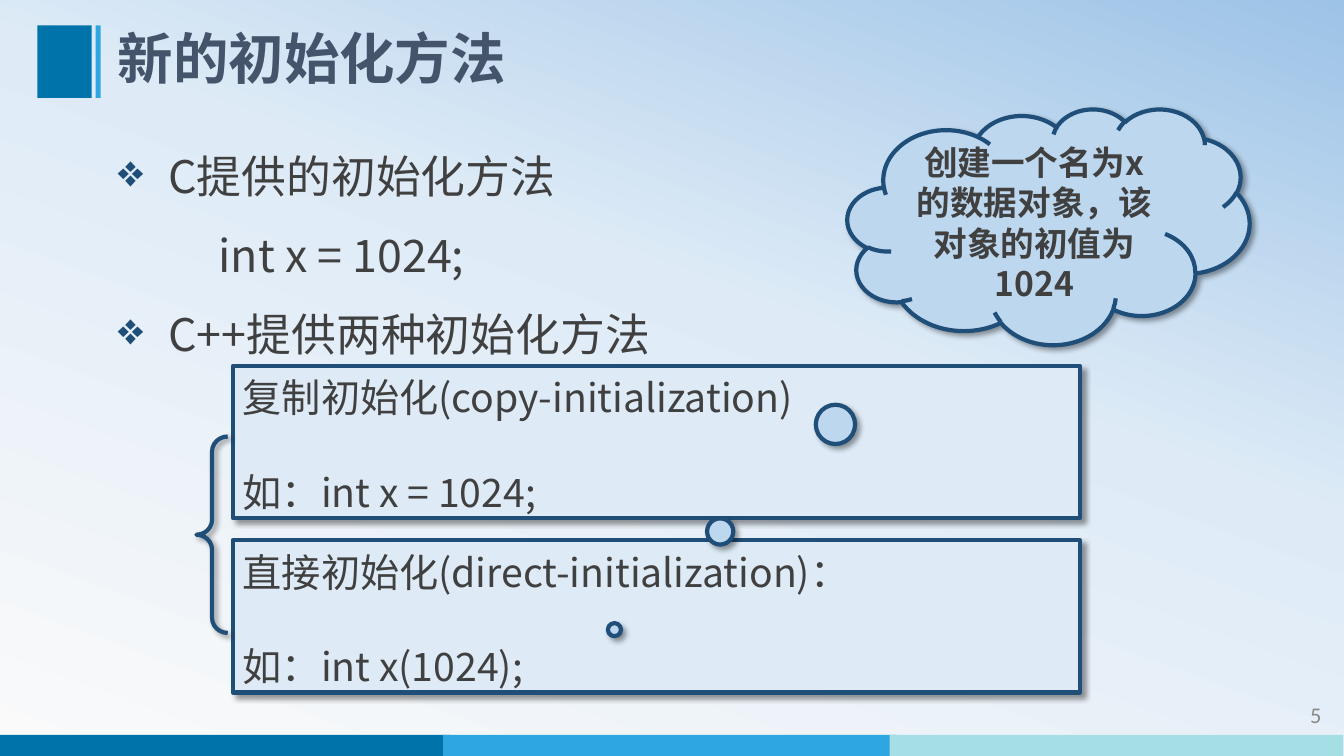
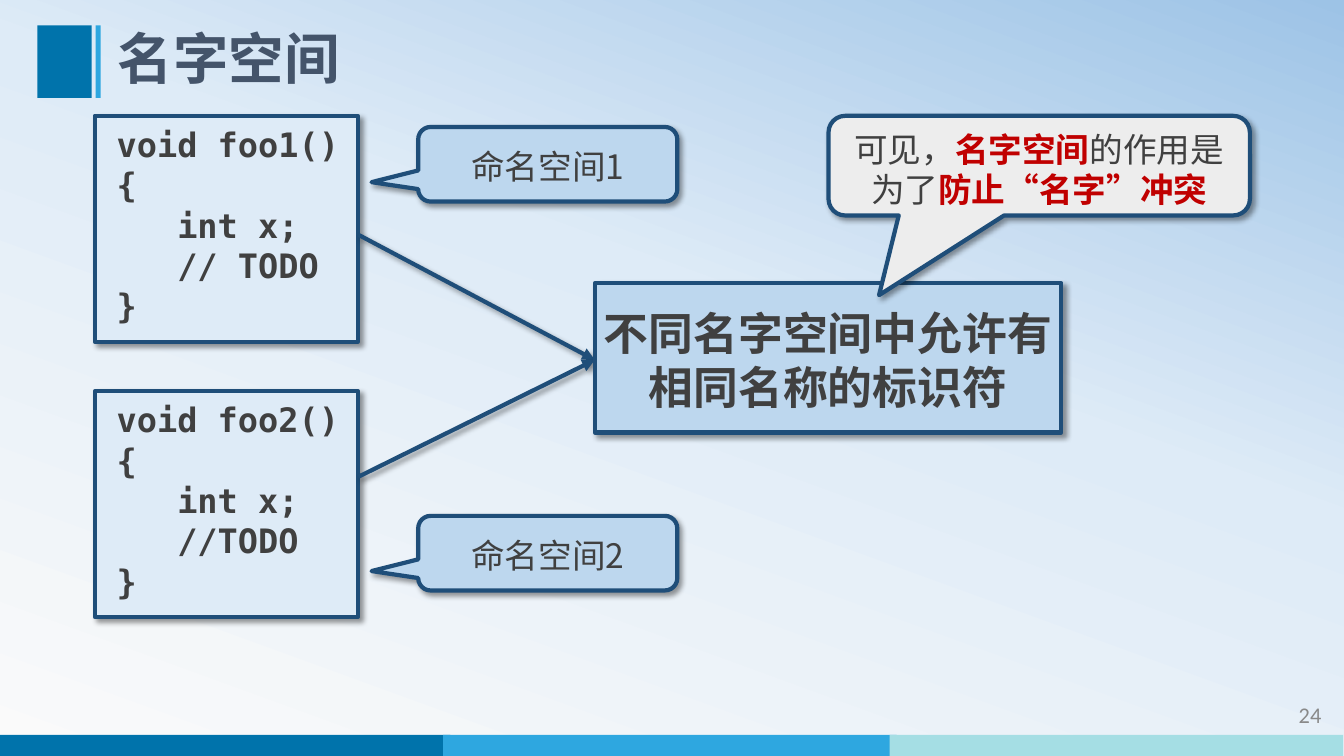
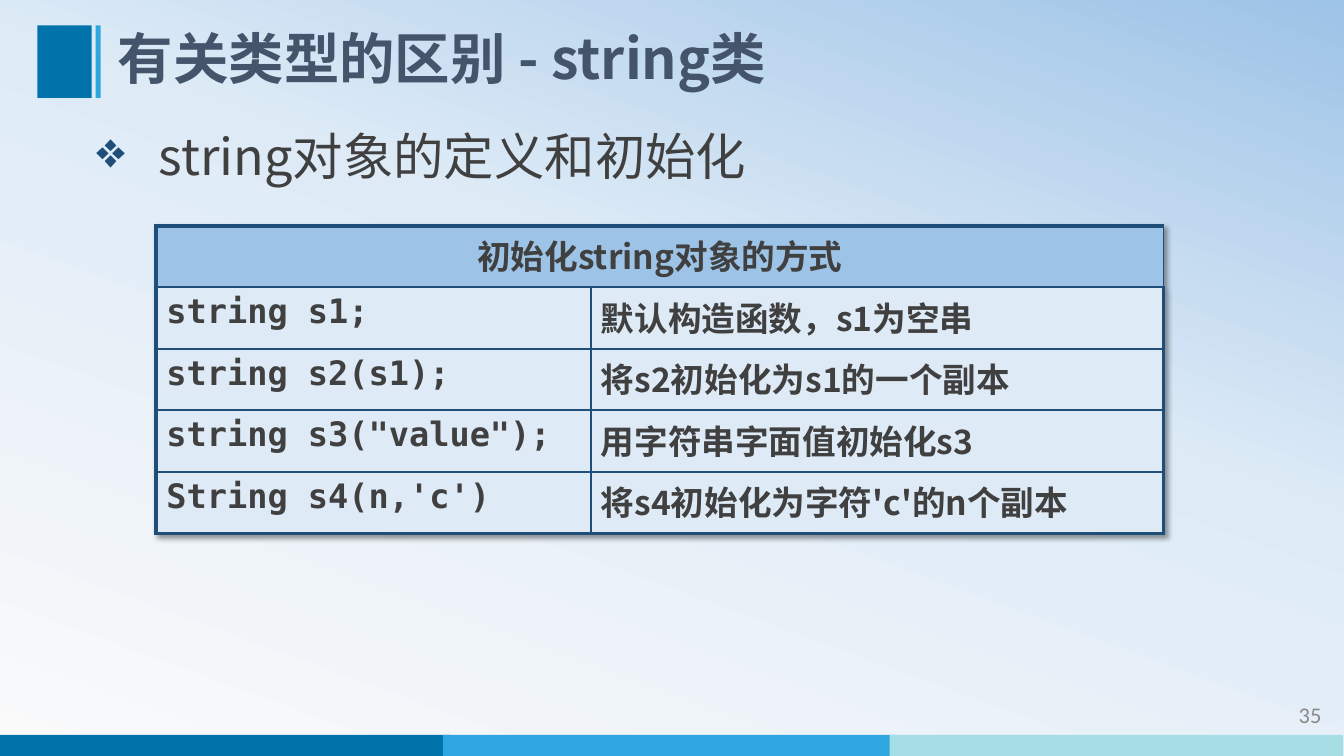
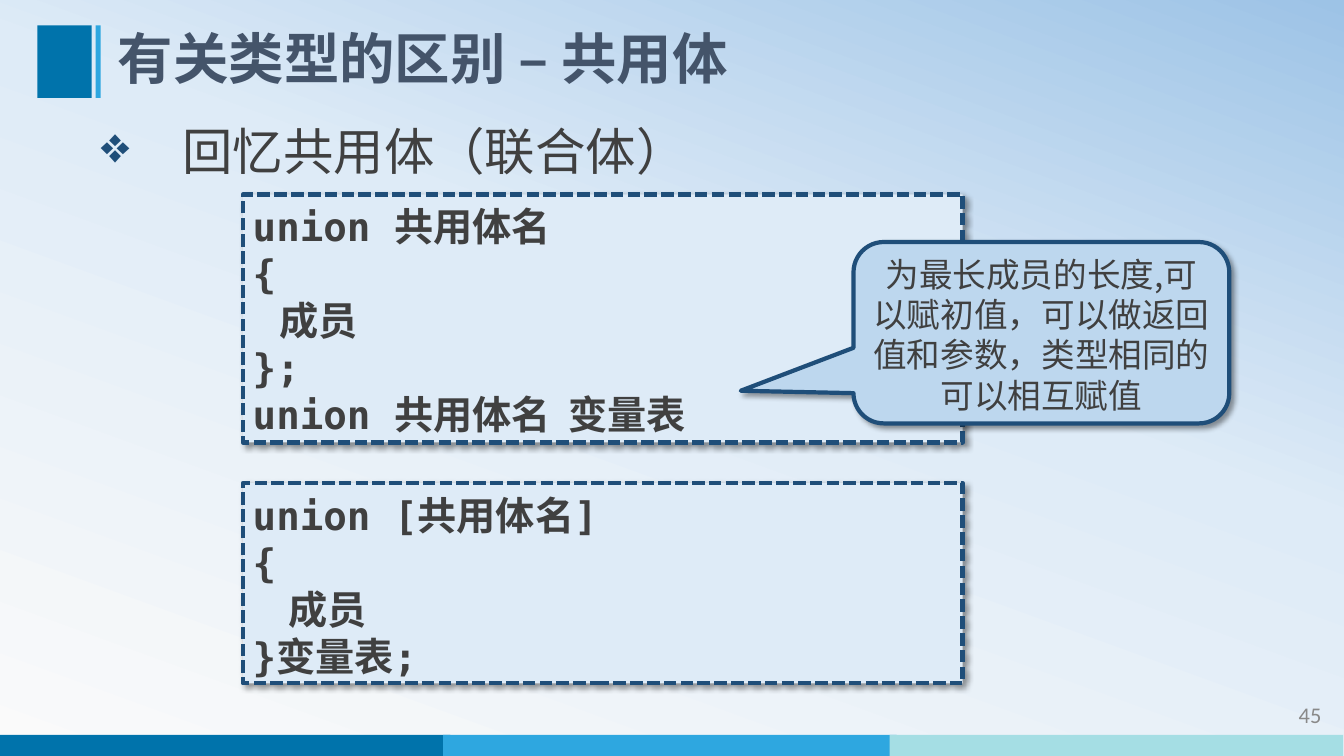
import copy
import dataclasses

import lxml.etree
import pptx
import pptx.dml.color
import pptx.enum.dml
import pptx.enum.shapes
import pptx.enum.text
import pptx.oxml.ns
import pptx.util

Cm = pptx.util.Cm
Pt = pptx.util.Pt
qn = pptx.oxml.ns.qn
SHAPE = pptx.enum.shapes.MSO_SHAPE
ALIGN = pptx.enum.text.PP_ALIGN
ANCHOR = pptx.enum.text.MSO_ANCHOR


@dataclasses.dataclass(frozen=True)
class Theme:
    sans: str = "Noto Sans CJK SC"
    mono: str = "DejaVu Sans Mono"
    digits: str = "Calibri"
    title: str = "44546A"
    ink: str = "404040"
    alert: str = "C00000"
    number: str = "898989"
    edge: str = "1F4E79"
    pale: str = "DEEBF7"
    light: str = "BDD7EE"
    header: str = "9DC3E6"
    grey: str = "EDEDED"
    bands: tuple = ("0073AB", "2EA7E0", "A5DEE4")
    backdrop: tuple = ((0, "FAFAFA"), (0.58, "DEEBF7"), (1, "9DC3E6"))
    title_size: float = 39.6
    heading_size: int = 36
    lead_size: int = 32
    text_size: int = 28
    note_size: int = 24
    number_size: int = 16
    edge_width: float = 3
    grid_width: float = 1.5
    leading: float = 1.2


def rgb(value):
    return pptx.dml.color.RGBColor.from_string(value)


def child(parent, tag, **attributes):
    return lxml.etree.SubElement(parent, qn(tag), attributes)


def add_shadow(effects):
    """Fill an a:effectLst with the soft shadow of the theme."""
    outer = child(effects, "a:outerShdw", blurRad="50800", dist="38100",
                  dir="2700000", algn="tl", rotWithShape="0")
    child(child(outer, "a:srgbClr", val="000000"), "a:alpha", val="40000")


class Lesson:
    def __init__(self, theme):
        self.theme = theme
        self.page = None
        self.deck = pptx.Presentation()
        self.deck.slide_width, self.deck.slide_height = Cm(33.87), Cm(19.05)
        self.paint_backdrop()

    def paint_backdrop(self):
        master = self.deck.slide_master
        fill = master.background.fill
        fill.gradient()
        fill.gradient_angle = 70
        stops = master.element.find(".//" + qn("a:gsLst"))
        stops.append(copy.deepcopy(stops[0]))
        for stop, (position, colour) in zip(fill.gradient_stops, self.theme.backdrop):
            stop.position = position
            stop.color.rgb = rgb(colour)

    def start(self, title, number):
        """Begin a slide with its bands, title and number."""
        theme = self.theme
        self.page = self.deck.slides.add_slide(self.deck.slide_layouts[6])
        for index, colour in enumerate(theme.bands):
            self.bar((-0.08 + 11.25 * index, 18.52, 11.43, 0.53), colour)
        self.bar((0.94, 0.64, 1.37, 1.83), theme.bands[0])
        self.bar((2.41, 0.64, 0.13, 1.83), theme.bands[1])
        frame = self.text((29.51, 17.55, 4.04, 1.02))
        self.set_lines(frame, [str(number)], theme.number_size, font=theme.digits,
                       colour=theme.number, align=ALIGN.RIGHT)
        frame = self.text((2.72, 0.64, 27.58, 1.83))
        frame.vertical_anchor = ANCHOR.MIDDLE
        self.set_lines(frame, [title], theme.title_size, colour=theme.title,
                       bold=True, spacing=0.9)

    def bar(self, place, colour):
        shape = self.page.shapes.add_shape(SHAPE.RECTANGLE, *map(Cm, place))
        shape.shadow.inherit = False
        shape.fill.solid()
        shape.fill.fore_color.rgb = rgb(colour)
        shape.line.fill.background()

    def text(self, place):
        frame = self.page.shapes.add_textbox(*map(Cm, place)).text_frame
        frame.word_wrap = True
        return frame

    def span(self, para, content, size, font, colour, bold):
        run = para.add_run()
        run.text = content
        run.font.size = Pt(size)
        run.font.bold = bold
        run.font.color.rgb = rgb(colour)
        run.font.name = font
        east = self.theme.sans if font == self.theme.mono else font
        child(run.font._element, "a:ea", typeface=east)

    def set_lines(self, frame, lines, size, font=None, colour=None, bold=False,
                  align=ALIGN.LEFT, spacing=None, before=0, indent=0):
        """Add lines; a line is a string or a list of (text, stressed) pairs."""
        theme = self.theme
        paras = []
        for index, line in enumerate(lines):
            para = frame.add_paragraph() if index else frame.paragraphs[0]
            para.alignment = align
            para.line_spacing = spacing or Pt(size * theme.leading)
            if index and before:
                para.space_before = Pt(before)
            if indent:
                para._p.get_or_add_pPr().set("marL", str(Cm(indent)))
            for content, stressed in [(line, False)] if isinstance(line, str) else line:
                self.span(para, content, size, font or theme.sans,
                          theme.alert if stressed else colour or theme.ink,
                          bold or stressed)
            paras.append(para)
        return paras

    def bullet(self, para, indent):
        properties = para._p.get_or_add_pPr()
        properties.set("marL", str(Cm(indent)))
        properties.set("indent", str(-Cm(indent)))
        child(child(properties, "a:buClr"), "a:srgbClr", val=self.theme.edge)
        child(properties, "a:buChar", char="❖")

    def heading(self, place, content, indent):
        frame = self.text(place)
        frame.margin_top = Cm(0.2)
        para, = self.set_lines(frame, [content], self.theme.heading_size)
        self.bullet(para, indent)

    def outline(self, line):
        line.color.rgb = rgb(self.theme.edge)
        line.width = Pt(self.theme.edge_width)

    def shape(self, kind, place, fill=None, adjust=(), anchor=ANCHOR.MIDDLE):
        """Add an outlined shape with a shadow and return it."""
        shape = self.page.shapes.add_shape(kind, *map(Cm, place))
        for index, value in enumerate(adjust):
            shape.adjustments[index] = value
        if fill:
            shape.fill.solid()
            shape.fill.fore_color.rgb = rgb(fill)
        else:
            shape.fill.background()
        self.outline(shape.line)
        shape.shadow.inherit = False
        add_shadow(shape.element.spPr.find(qn("a:effectLst")))
        shape.text_frame.word_wrap = True
        shape.text_frame.margin_top = Cm(0.2)
        shape.text_frame.vertical_anchor = anchor
        return shape

    def panel(self, place, lines, size, dashed=False, **style):
        """Add a pale rectangle with lines of text from its top."""
        shape = self.shape(SHAPE.RECTANGLE, place, self.theme.pale, anchor=ANCHOR.TOP)
        if dashed:
            shape.line.dash_style = pptx.enum.dml.MSO_LINE.SQUARE_DOT
        self.set_lines(shape.text_frame, lines, size, **style)

    def callout(self, place, line, tip, fill=None, kind=SHAPE.ROUNDED_RECTANGULAR_CALLOUT,
                bold=False, anchor=ANCHOR.MIDDLE):
        shape = self.shape(kind, place, fill or self.theme.light, tip, anchor)
        self.set_lines(shape.text_frame, [line], self.theme.note_size, bold=bold,
                       align=ALIGN.CENTER)

    def arrow(self, start, end):
        connector = self.page.shapes.add_connector(
            pptx.enum.shapes.MSO_CONNECTOR.STRAIGHT, *map(Cm, start + end))
        self.outline(connector.line)
        properties = connector.element.spPr
        child(properties.find(qn("a:ln")), "a:tailEnd", type="triangle")
        add_shadow(child(properties, "a:effectLst"))

    def border(self, cell, edges):
        """Draw cell borders from (side, width) pairs."""
        properties = cell._tc.get_or_add_tcPr()
        for side, width in edges:
            line = child(properties, "a:ln" + side, w=str(Pt(width)))
            child(child(line, "a:solidFill"), "a:srgbClr", val=self.theme.edge)

    def table(self, corner, widths, height, header, rows):
        theme = self.theme
        count = len(rows) + 1
        frame = self.page.shapes.add_table(
            count, len(widths), *map(Cm, (*corner, sum(widths), height * count)))
        grid = frame.table
        grid.first_row = grid.horz_banding = False
        effects = lxml.etree.Element(qn("a:effectLst"))
        add_shadow(effects)
        grid._tbl.tblPr.insert(0, effects)
        for column, width in zip(grid.columns, widths):
            column.width = Cm(width)
        grid.cell(0, 0).merge(grid.cell(0, len(widths) - 1))
        last_row, last_column = count - 1, len(widths) - 1
        for r, row in enumerate([(header, ""), *rows]):
            grid.rows[r].height = Cm(height)
            for c, content in enumerate(row):
                cell = grid.cell(r, c)
                outer = (("L", c == 0), ("R", c == last_column),
                         ("T", r == 0), ("B", r == last_row))
                self.border(cell, [(side, theme.edge_width if is_outer else theme.grid_width)
                                   for side, is_outer in outer])
                cell.fill.solid()
                cell.fill.fore_color.rgb = rgb(theme.pale if r else theme.header)
                if content:
                    self.set_lines(cell.text_frame, [content], theme.note_size, bold=True,
                                   font=theme.mono if r and c == 0 else theme.sans,
                                   align=ALIGN.LEFT if r else ALIGN.CENTER, spacing=1.0)


def initialization(lesson):
    theme = lesson.theme
    lesson.start("新的初始化方法", 5)
    first, code, second = lesson.set_lines(
        lesson.text((2.72, 3.63, 18.64, 6.17)),
        ["C提供的初始化方法", "int x = 1024;", "C++提供两种初始化方法"],
        theme.lead_size, before=18)
    for para in (first, second):
        lesson.bullet(para, 1.27)
    code._p.get_or_add_pPr().set("marL", str(Cm(2.54)))
    ways = (("复制初始化(copy-initialization)", "如：int x = 1024;"),
            ("直接初始化(direct-initialization)：", "如：int x(1024);"))
    for index, lines in enumerate(ways):
        lesson.panel((5.87, 9.22 + 4.39 * index, 21.34, 3.84), lines, theme.text_size,
                     before=theme.text_size * theme.leading)
    lesson.shape(SHAPE.LEFT_BRACE, (4.95, 11, 0.79, 4.95), adjust=(0.48, 0.5))
    lesson.callout((21.36, 2.74, 10.13, 5.94), "创建一个名为x的数据对象，该对象的初值为1024",
                   (-1.08, 1.71), kind=SHAPE.CLOUD_CALLOUT, bold=True)


def namespaces(lesson):
    theme = lesson.theme
    lesson.start("名字空间", 24)
    join = (14.99, 9.07)
    functions = ((2.92, 5.92, "void foo1()", "   // TODO"),
                 (9.86, 12.01, "void foo2()", "   //TODO"))
    for top, exit_height, signature, remark in functions:
        lesson.panel((2.39, top, 6.63, 5.69), [signature, "{", "   int x;", remark, "}"],
                     theme.note_size, font=theme.mono, bold=True, indent=0.3)
        lesson.arrow((9.04, exit_height), join)
    rule = lesson.shape(SHAPE.RECTANGLE, (14.99, 7.14, 11.76, 3.76), theme.light)
    rule.text_frame.word_wrap = False
    lesson.set_lines(rule.text_frame, ["不同名字空间中允许有", "相同名称的标识符"],
                     theme.lead_size, bold=True, align=ALIGN.CENTER)
    lesson.callout((20.88, 2.92, 10.62, 2.51),
                   [("可见，", False), ("名字空间", True), ("的作用是为了", False),
                    ("防止“名字”冲突", True)],
                   (-0.38, 1.3), theme.grey, anchor=ANCHOR.TOP)
    for top, label in ((3.2, "命名空间1"), (13, "命名空间2")):
        lesson.callout((10.54, top, 6.53, 1.88), label, (-0.68, 0.24))


def strings(lesson):
    lesson.start("有关类型的区别 - string类", 35)
    lesson.heading((2.18, 2.95, 28.68, 1.8), "string对象的定义和初始化", 1.57)
    lesson.table((3.94, 5.69), (10.95, 14.43), 1.55, "初始化string对象的方式", [
        ("string s1;", "默认构造函数，s1为空串"),
        ("string s2(s1);", "将s2初始化为s1的一个副本"),
        ('string s3("value");', "用字符串字面值初始化s3"),
        ("String s4(n,'c')", "将s4初始化为字符'c'的n个副本"),
    ])


def unions(lesson):
    theme = lesson.theme
    lesson.start("有关类型的区别 – 共用体", 45)
    lesson.heading((2.29, 2.82, 30.45, 1.8), "回忆共用体（联合体）", 2.06)
    forms = ((4.9, 6.25, ["union 共用体名", "{", "   成员", "};", "union 共用体名  变量表"]),
             (12.17, 5.05, ["union [共用体名]", "{", "    成员", "}变量表;"]))
    for top, height, lines in forms:
        lesson.panel((6.12, top, 18.14, height), lines, theme.text_size, dashed=True,
                     font=theme.mono, bold=True)
    lesson.callout((21.51, 6.1, 9.47, 4.57),
                   "为最长成员的长度,可以赋初值，可以做返回值和参数，类型相同的可以相互赋值",
                   (-0.8, 0.32))


def main():
    lesson = Lesson(Theme())
    for build in (initialization, namespaces, strings, unions):
        build(lesson)
    lesson.deck.save("out.pptx")


if __name__ == "__main__":
    main()
